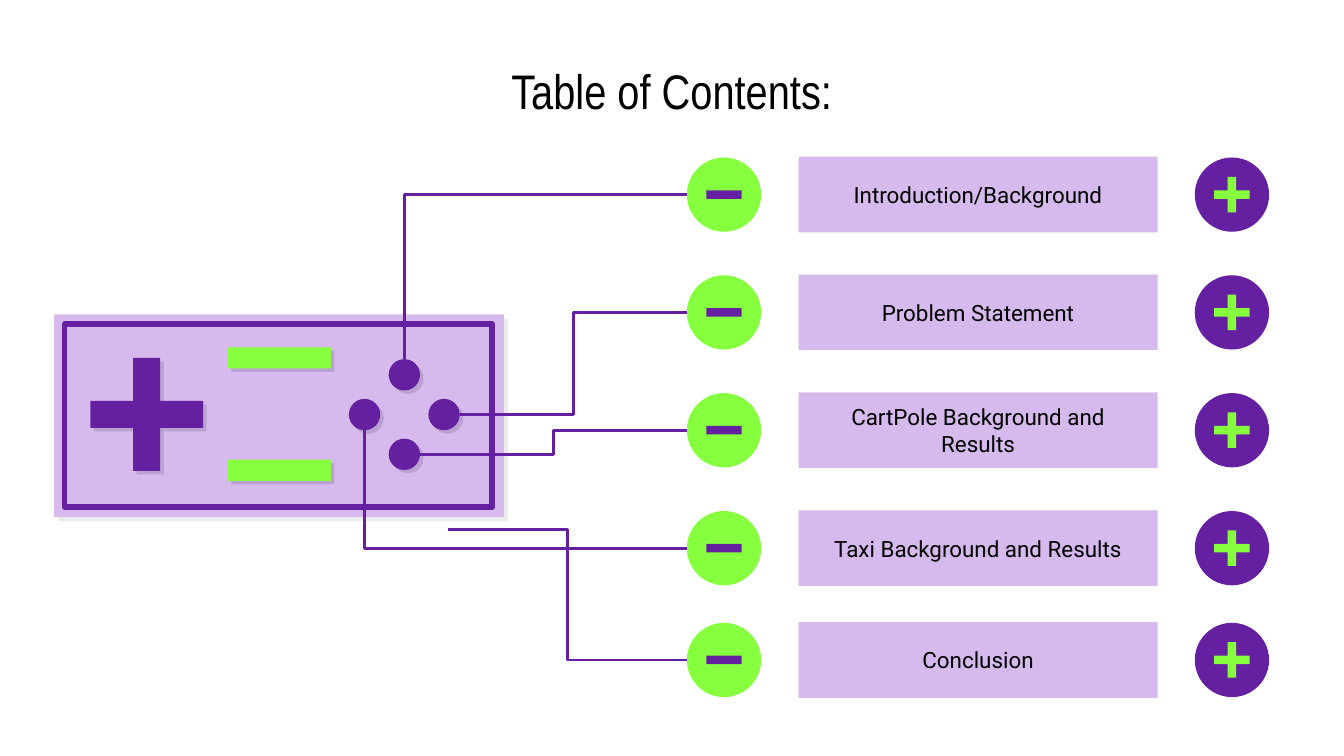
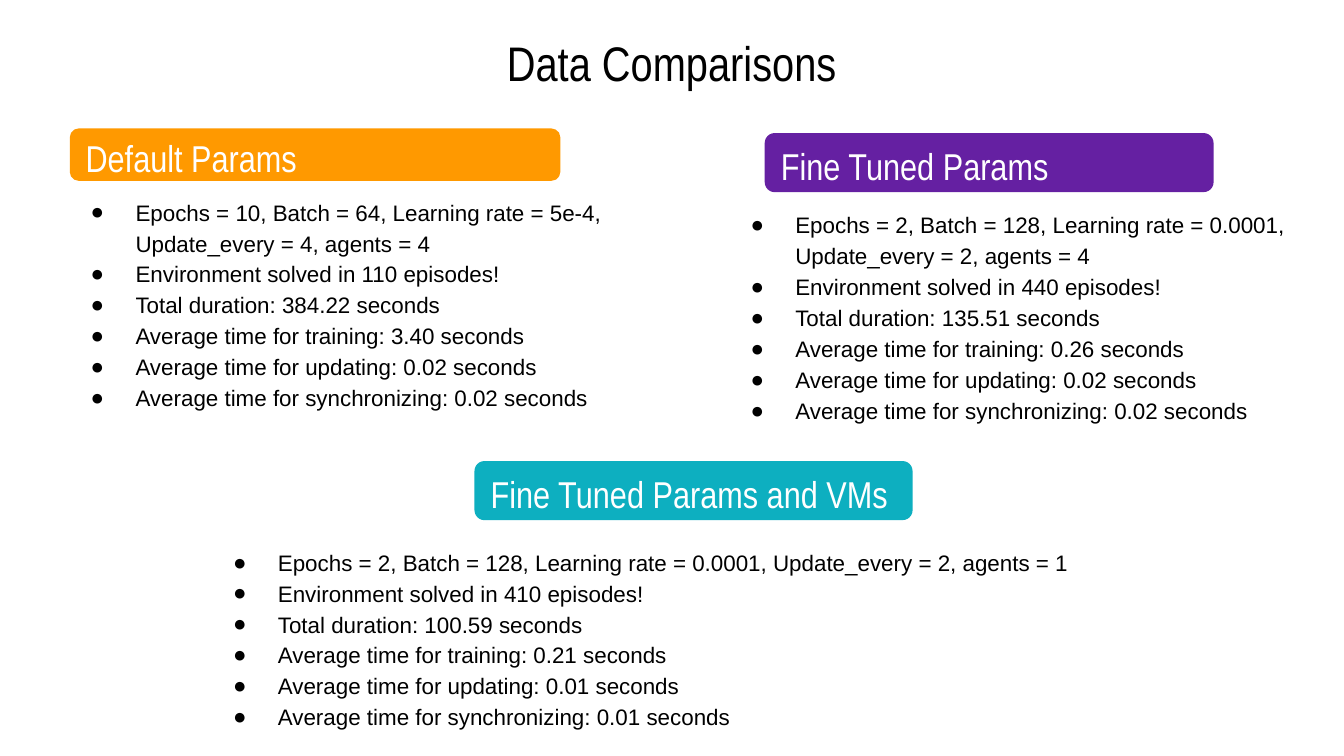
from lxml import etree
from pptx import Presentation
from pptx.dml.color import RGBColor
from pptx.enum.shapes import MSO_CONNECTOR, MSO_SHAPE
from pptx.enum.text import MSO_ANCHOR, PP_ALIGN
from pptx.oxml.ns import qn
from pptx.util import Pt

RECT, OVAL = MSO_SHAPE.RECTANGLE, MSO_SHAPE.OVAL
CROSS, ROUNDED = MSO_SHAPE.CROSS, MSO_SHAPE.ROUNDED_RECTANGLE
ELBOW = MSO_CONNECTOR.ELBOW
MIDDLE = MSO_ANCHOR.MIDDLE
LEFT, CENTER = PP_ALIGN.LEFT, PP_ALIGN.CENTER

# Shared look
PURPLE, LILAC, GREEN = "6520A2", "D6BAEE", "86FF3F"
ORANGE, TEAL = "FF9900", "0DAFC0"
BLACK, WHITE = "000000", "FFFFFF"
HEAD_FONT, BODY_FONT, LABEL_FONT = "Arial Narrow", "Arial", "Roboto"
INSET = 7.2

# Connection sites of an ellipse
TOP, LEFT_SIDE, BOTTOM, RIGHT_SIDE = 0, 2, 4, 6

# Contents rows: label and vertical middle
ROWS = [
    ("Introduction/Background", 104.3),
    ("Problem Statement", 167.4),
    ("CartPole Background and Results", 230.5),
    ("Taxi Background and Results", 293.7),
    ("Conclusion", 353.6),
]

# Comparison cards: heading, colour, bar box, list box, list items
CARDS = [
    ("Fine Tuned Params", PURPLE, (409.7, 71.3, 240.5, 31.7), (383, 113, 318.2, 112.3),
     "Epochs = 2, Batch = 128, Learning rate = 0.0001, Update_every = 2, agents = 4",
     ("440", "135.51", "0.26", "0.02", "0.02")),
    ("Fine Tuned Params and VMs", TEAL, (254.2, 247, 234.7, 31.7), (105.8, 277.9, 531.4, 127.4),
     "Epochs = 2, Batch = 128, Learning rate = 0.0001, Update_every = 2, agents = 1",
     ("410", "100.59", "0.21", "0.01", "0.01")),
    ("Default Params", ORANGE, (37.4, 68.8, 262.8, 28.1), (29.5, 109.4, 308.9, 105.8),
     "Epochs = 10, Batch = 64, Learning rate = 5e-4, Update_every = 4, agents = 4",
     ("110", "384.22", "3.40", "0.02", "0.02")),
]
RESULTS = [
    "Environment solved in {} episodes!",
    "Total duration: {} seconds",
    "Average time for training: {} seconds",
    "Average time for updating: {} seconds",
    "Average time for synchronizing: {} seconds",
]


def rgb(color):
    return RGBColor.from_string(color)


def add_shape(slide, kind, box, fill=None, alpha=None, line=None, adj=None):
    """Place a preset shape; box is left, top, width, height in points."""
    sp = slide.shapes.add_shape(kind, *map(Pt, box))
    sp.shadow.inherit = False
    if adj is not None:
        sp.adjustments[0] = adj
    if fill:
        sp.fill.solid()
        sp.fill.fore_color.rgb = rgb(fill)
    else:
        sp.fill.background()
    if alpha:
        clr = sp._element.spPr.find(".//" + qn("a:srgbClr"))
        etree.SubElement(clr, qn("a:alpha"), val=str(alpha * 1000))
    if line:
        sp.line.color.rgb = rgb(line)
        sp.line.width = Pt(3)
    else:
        sp.line.fill.background()
    return sp


def add_centered(slide, kind, cx, cy, w, h, fill, **opts):
    return add_shape(slide, kind, (cx - w / 2, cy - h / 2, w, h), fill, **opts)


def add_shaded(slide, kind, box, fill, offset=1.9, alpha=13, **opts):
    """Place a shape over its own soft, shifted shade."""
    left, top, w, h = box
    add_shape(slide, kind, (left + offset, top + offset, w, h), BLACK, alpha, **opts)
    return add_shape(slide, kind, box, fill, **opts)


def set_text(sp, lines, font, size, color=BLACK, align=LEFT, spacing=1.0, bullets=False):
    tf = sp.text_frame
    tf.word_wrap = True
    tf.vertical_anchor = MIDDLE
    tf.margin_left = tf.margin_right = tf.margin_top = tf.margin_bottom = Pt(INSET)
    for i, line in enumerate(lines):
        p = tf.add_paragraph() if i else tf.paragraphs[0]
        p.text = line
        p.alignment = align
        p.line_spacing = spacing
        if bullets:
            add_bullet(p)
        for r in p.runs:
            r.font.name = font
            r.font.size = Pt(size)
            r.font.color.rgb = rgb(color)


def add_bullet(p):
    pPr = p._p.get_or_add_pPr()
    pPr.set("marL", str(Pt(36)))
    pPr.set("indent", str(Pt(-24)))
    clr = etree.SubElement(pPr, qn("a:buClr"))
    etree.SubElement(clr, qn("a:srgbClr"), val=BLACK)
    etree.SubElement(pPr, qn("a:buFont"), typeface=BODY_FONT)
    etree.SubElement(pPr, qn("a:buChar"), char="●")


def add_title(slide, text, top):
    sp = slide.shapes.add_textbox(Pt(36), Pt(top), Pt(648), Pt(31.7))
    set_text(sp, [text], HEAD_FONT, 26, align=CENTER)


def site_point(sp, site):
    """Return the point of an ellipse's connection site."""
    dx, dy = {TOP: (1, 0), LEFT_SIDE: (0, 1), BOTTOM: (1, 2), RIGHT_SIDE: (2, 1)}[site]
    return sp.left + sp.width * dx // 2, sp.top + sp.height * dy // 2


def add_wire(slide, circle, end, button=None, site=None):
    """Run an elbow from a row's circle to a button, or to a free end."""
    cxn = slide.shapes.add_connector(ELBOW, *site_point(circle, LEFT_SIDE), *end)
    cxn.line.color.rgb = rgb(PURPLE)
    cxn.line.width = Pt(1.5)
    etree.SubElement(cxn._element.spPr, qn("a:effectLst"))
    if site in (TOP, BOTTOM):
        cxn._element.spPr.find(qn("a:prstGeom")).set("prst", "bentConnector2")
    joints = cxn._element.find(".//" + qn("p:cNvCxnSpPr"))
    etree.SubElement(joints, qn("a:stCxn"), id=str(circle.shape_id), idx=str(LEFT_SIDE))
    if button is not None:
        etree.SubElement(joints, qn("a:endCxn"), id=str(button.shape_id), idx=str(site))


def add_gamepad(slide):
    """Draw the controller and return its buttons by the site their wire leaves from."""
    add_shaded(slide, RECT, (29, 168.5, 241, 108.5), LILAC, offset=2.3, alpha=8)
    add_shape(slide, RECT, (34.6, 173.7, 229, 98), line=PURPLE)
    for top in (186.1, 246.3):
        add_shaded(slide, RECT, (122.1, top, 55.2, 11.3), GREEN)
    add_shaded(slide, CROSS, (48.4, 191.8, 60.4, 60.4), PURPLE, adj=0.38)
    cx, cy, reach, size = 216.6, 222.1, 21.3, 16.8
    steps = {TOP: (0, -1), RIGHT_SIDE: (1, 0), BOTTOM: (0, 1), LEFT_SIDE: (-1, 0)}
    buttons = {}
    for side, (dx, dy) in steps.items():
        box = (cx + dx * reach - size / 2, cy + dy * reach - size / 2, size, size)
        buttons[side] = add_shaded(slide, OVAL, box, PURPLE)
    return buttons


def add_row(slide, label, mid):
    """Draw one contents row and return its minus circle."""
    sp = add_centered(slide, RECT, 524, mid, 192.3, 40.6, LILAC)
    set_text(sp, [label], LABEL_FONT, 12, align=CENTER)
    circle = add_centered(slide, OVAL, 387.9, mid, 39.8, 39.8, GREEN)
    add_centered(slide, RECT, 387.9, mid, 19, 4.6, PURPLE)
    add_centered(slide, OVAL, 660, mid, 39.8, 39.8, PURPLE)
    add_centered(slide, CROSS, 660, mid, 19, 19, GREEN, adj=0.38)
    return circle


def build_contents(slide):
    add_title(slide, "Table of Contents:", 32.4)
    buttons = add_gamepad(slide)
    # Button and site for each row; the last row's wire ends freely
    routes = [(TOP, TOP), (RIGHT_SIDE, RIGHT_SIDE), (BOTTOM, RIGHT_SIDE), (LEFT_SIDE, BOTTOM), None]
    for (label, mid), route in zip(ROWS, routes):
        circle = add_row(slide, label, mid)
        if route:
            side, site = route
            button = buttons[side]
            add_wire(slide, circle, site_point(button, site), button, site)
        else:
            add_wire(slide, circle, (Pt(239.8), Pt(283.7)))


def build_comparisons(slide):
    add_title(slide, "Data Comparisons", 17.3)
    for heading, color, bar_box, list_box, params, values in CARDS:
        sp = slide.shapes.add_textbox(*map(Pt, list_box))
        items = [params] + [text.format(v) for text, v in zip(RESULTS, values)]
        set_text(sp, items, BODY_FONT, 12, spacing=1.15, bullets=True)
        bar = add_shape(slide, ROUNDED, bar_box, color, adj=0.17)
        set_text(bar, [heading], HEAD_FONT, 20, WHITE, spacing=1.15)


def main():
    prs = Presentation()
    prs.slide_width, prs.slide_height = Pt(720), Pt(405)
    blank = prs.slide_layouts[6]
    for build in (build_contents, build_comparisons):
        build(prs.slides.add_slide(blank))
    prs.save("out.pptx")


if __name__ == "__main__":
    main()
